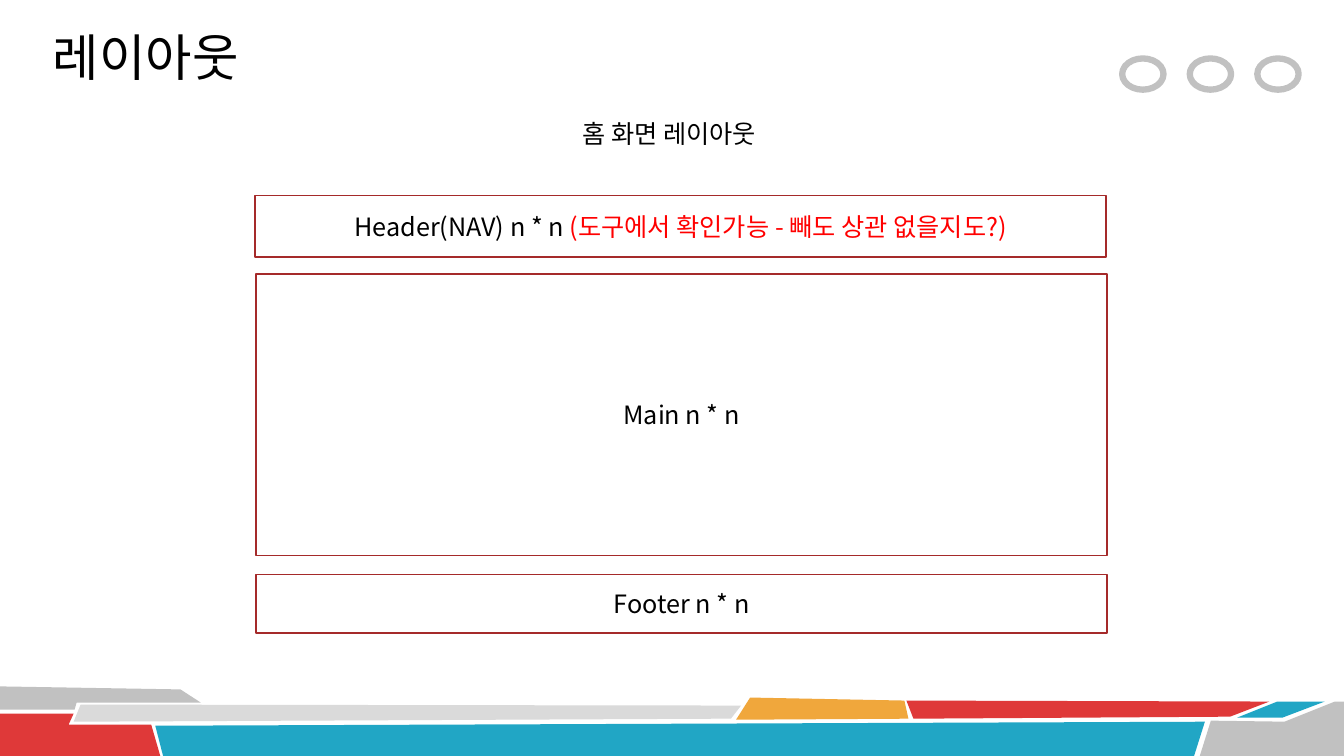
"""Build the home screen layout slide with its coloured footer band."""
from lxml.etree import SubElement
from pptx import Presentation
from pptx.dml.color import RGBColor
from pptx.enum.shapes import MSO_SHAPE as Preset
from pptx.enum.text import MSO_ANCHOR as Anchor, PP_ALIGN as Align
from pptx.oxml.ns import qn
from pptx.util import Inches, Pt

FONT = "Noto Sans CJK KR"
COLORS = {
    "white": "FFFFFF",
    "black": "000000",
    "gray": "C1C1C1",
    "light": "DADADA",
    "red": "DF3939",
    "blue": "21A6C5",
    "orange": "F0A73C",
    "border": "A52A2A",
    "note": "FF0000",
}


def color(name):
    return RGBColor.from_string(COLORS[name])


def add_text(paragraph, text, size=18, ink="black", align=Align.CENTER):
    paragraph.alignment = align
    run = paragraph.add_run()
    run.text = text
    run.font.size = Pt(size)
    run.font.name = FONT
    run.font.color.rgb = color(ink)
    SubElement(run.font._element, qn("a:ea")).set("typeface", FONT)


presentation = Presentation()
presentation.slide_width = Inches(13.33)
presentation.slide_height = Inches(7.5)
slide = presentation.slides.add_slide(presentation.slide_layouts[6])
shapes = slide.shapes

footer_bands = [
    ("gray", [(0, 6.81), (1.79, 6.84), (1.99, 6.97), (0.76, 6.97), (0.74, 7.04), (0, 7.04)]),
    ("red", [(0, 7.08), (0.73, 7.08), (0.68, 7.19), (1.5, 7.19), (1.59, 7.5), (0, 7.5)]),
    ("light", [(0.8, 6.99), (7.35, 7), (7.25, 7.13), (0.73, 7.16)]),
    ("blue", [(1.54, 7.2), (11.95, 7.16), (11.84, 7.51), (1.62, 7.51)]),
    ("orange", [(7.44, 6.92), (8.97, 6.95), (9.01, 7.13), (7.3, 7.14)]),
    ("red", [(8.99, 6.95), (12.59, 6.96), (12.2, 7.11), (9.06, 7.13)]),
    ("blue", [(12.67, 6.96), (13.14, 6.96), (12.72, 7.12), (12.27, 7.12)]),
    ("gray", [(12.01, 7.15), (12.74, 7.16), (13.24, 6.96), (13.33, 6.96), (13.33, 7.5), (11.9, 7.5)]),
]
for fill, corners in footer_bands:
    points = [(Inches(x), Inches(y)) for x, y in corners]
    builder = shapes.build_freeform(*points[0])
    builder.add_line_segments(points[1:], close=True)
    band = builder.convert_to_shape()
    band.shadow.inherit = False
    band.fill.solid()
    band.fill.fore_color.rgb = color(fill)
    band.line.fill.background()

for index in range(3):
    ring = shapes.add_shape(
        Preset.OVAL, Inches(11.13 + 0.67 * index), Inches(0.58), Inches(0.41), Inches(0.31))
    ring.shadow.inherit = False
    ring.fill.background()
    ring.line.color.rgb = color("gray")
    ring.line.width = Pt(4.5)

boxes = [
    ((0.02, 0, 2.85, 1.12), 36, None, [("레이아웃", "black")]),
    ((2.53, 1.94, 8.44, 0.61), 18, "border",
     [("Header(NAV) n * n ", "black"), ("(도구에서 확인가능 - 빼도 상관 없을지도?)", "note")]),
    ((2.54, 2.72, 8.44, 2.79), 18, "border", [("Main n * n", "black")]),
    ((2.54, 5.7, 8.44, 0.58), 18, "border", [("Footer n * n", "black")]),
]
for place, size, outline, texts in boxes:
    box = shapes.add_shape(Preset.RECTANGLE, *map(Inches, place))
    box.shadow.inherit = False
    box.fill.solid()
    box.fill.fore_color.rgb = color("white")
    if outline:
        box.line.color.rgb = color(outline)
        box.line.width = Pt(1.25)
    else:
        box.line.fill.background()
    box.text_frame.vertical_anchor = Anchor.MIDDLE
    for text, ink in texts:
        add_text(box.text_frame.paragraphs[0], text, size=size, ink=ink)

caption = shapes.add_textbox(Inches(5.68), Inches(1.12), Inches(2.14), Inches(0.4))
caption.text_frame.word_wrap = False
add_text(caption.text_frame.paragraphs[0], "홈 화면 레이아웃", align=Align.LEFT)

presentation.save("out.pptx")
